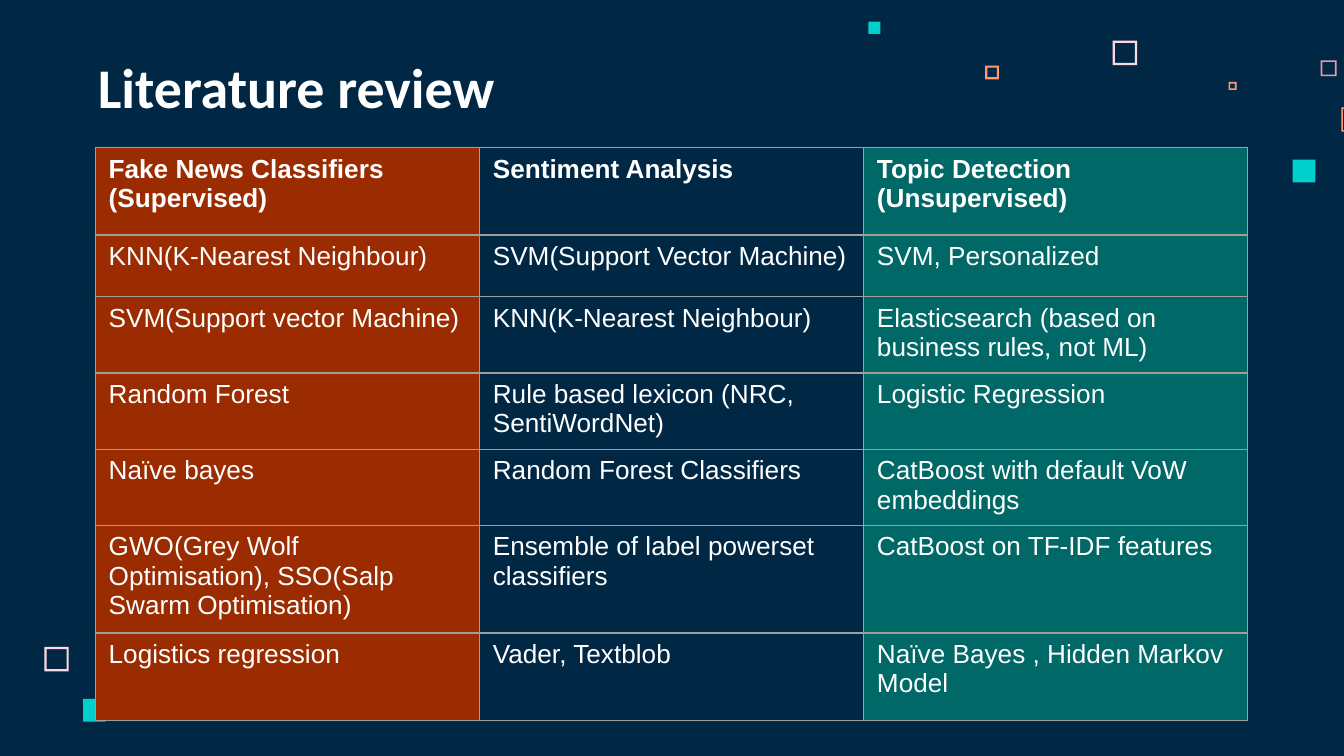
from pptx import Presentation
from pptx.dml.color import RGBColor as RGB
from pptx.enum.shapes import MSO_SHAPE as Preset
from pptx.enum.text import MSO_ANCHOR as Anchor
from pptx.oxml import parse_xml
from pptx.oxml.ns import nsdecls
from pptx.util import Cm, Pt

TITLE = "Literature review"
ROWS = [
    ("Fake News Classifiers (Supervised)", "Sentiment Analysis",
     "Topic Detection (Unsupervised)"),
    ("KNN(K-Nearest Neighbour)", "SVM(Support Vector Machine)",
     "SVM, Personalized"),
    ("SVM(Support vector Machine)", "KNN(K-Nearest Neighbour)",
     "Elasticsearch (based on business rules, not ML)"),
    ("Random Forest", "Rule based lexicon (NRC, SentiWordNet)",
     "Logistic Regression"),
    ("Naïve bayes", "Random Forest Classifiers",
     "CatBoost with default VoW embeddings"),
    ("GWO(Grey Wolf Optimisation), SSO(Salp Swarm Optimisation)",
     "Ensemble of label powerset classifiers", "CatBoost on TF-IDF features"),
    ("Logistics regression", "Vader, Textblob",
     "Naïve Bayes , Hidden Markov Model"),
]
ROW_HEIGHTS = [1.65, 1.17, 1.17, 1.17, 1.17, 1.65, 1.65]
COLUMN_WIDTH = 7.26

THEME = {
    "background": RGB.from_string("002845"),
    "columns": [RGB.from_string("9B2C02"), None, RGB.from_string("006866")],
    "pink": RGB.from_string("FFD6E1"),
    "rose": RGB.from_string("E898AC"),
    "orange": RGB.from_string("FF9973"),
    "teal": RGB.from_string("00CFCC"),
    "border": "9E9E9E",
    "border_width": Pt(0.75),
    "title": {"name": "Calibri", "size": Pt(30), "bold": True},
    "body": {"name": "Arial", "size": Pt(14), "bold": False},
    "text": RGB.from_string("FFFFFF"),
}

# left, top, side, rim thickness, colour
HOLLOW_SQUARES = [
    (21.03, 0.77, 0.46, 0.04, "pink"),
    (24.96, 1.14, 0.30, 0.03, "rose"),
    (23.22, 1.55, 0.15, 0.03, "orange"),
    (25.35, 2.03, 0.46, 0.03, "orange"),
    (18.62, 1.24, 0.26, 0.04, "orange"),
    (0.84, 12.23, 0.46, 0.04, "pink"),
]
# left, top, side
SOLID_SQUARES = [(24.43, 3.02, 0.43), (16.41, 0.41, 0.23), (1.57, 13.21, 0.43)]


def paint(shape, color):
    shape.shadow.inherit = False
    shape.fill.solid()
    shape.fill.fore_color.rgb = color
    shape.line.fill.background()


def add_hollow_square(slide, left, top, side, rim, color):
    """Draw the rim as two contours wound in opposite directions."""
    right, bottom = left + side, top + side
    outer = [(left, top), (left, bottom), (right, bottom), (right, top)]
    inner = [(left + rim, top + rim), (right - rim, top + rim),
             (right - rim, bottom - rim), (left + rim, bottom - rim)]
    outer, inner = ([(Cm(x), Cm(y)) for x, y in contour]
                    for contour in (outer, inner))
    builder = slide.shapes.build_freeform(*outer[0])
    builder.add_line_segments(outer[1:], close=True)
    builder.move_to(*inner[0])
    builder.add_line_segments(inner[1:], close=True)
    paint(builder.convert_to_shape(), color)


def write(text_frame, text, formats):
    paragraph = text_frame.paragraphs[0]
    run = paragraph.add_run()
    run.text = text
    for name, value in formats.items():
        setattr(run.font, name, value)
    run.font.color.rgb = THEME["text"]


def add_borders(cell):
    properties = cell._tc.get_or_add_tcPr()
    for index, side in enumerate("LRTB"):
        properties.insert(index, parse_xml(
            f'<a:ln{side} {nsdecls("a")} w="{THEME["border_width"]}">'
            f'<a:solidFill><a:srgbClr val="{THEME["border"]}"/></a:solidFill>'
            f'</a:ln{side}>'))


def add_review_table(slide):
    table = slide.shapes.add_table(
        len(ROWS), len(ROWS[0]), Cm(1.8), Cm(2.79),
        Cm(COLUMN_WIDTH * len(ROWS[0])), Cm(sum(ROW_HEIGHTS))).table
    table.first_row = table.horz_banding = False
    for column in table.columns:
        column.width = Cm(COLUMN_WIDTH)
    for row_index, (texts, height) in enumerate(zip(ROWS, ROW_HEIGHTS)):
        table.rows[row_index].height = Cm(height)
        formats = {**THEME["body"], "bold": row_index == 0}
        for column_index, (text, color) in enumerate(zip(texts, THEME["columns"])):
            cell = table.cell(row_index, column_index)
            write(cell.text_frame, text, formats)
            if color is None:
                cell.fill.background()
            else:
                cell.fill.solid()
                cell.fill.fore_color.rgb = color
            add_borders(cell)


def add_title(slide):
    box = slide.shapes.add_textbox(Cm(1.6), Cm(0.91), Cm(13.13), Cm(1.6))
    frame = box.text_frame
    frame.word_wrap = True
    frame.vertical_anchor = Anchor.BOTTOM
    for side in ("left", "top", "right", "bottom"):
        setattr(frame, f"margin_{side}", Cm(0.25))
    write(frame, TITLE, THEME["title"])


def main():
    presentation = Presentation()
    presentation.slide_width, presentation.slide_height = Cm(25.4), Cm(14.29)
    slide = presentation.slides.add_slide(presentation.slide_layouts[6])
    slide.background.fill.solid()
    slide.background.fill.fore_color.rgb = THEME["background"]
    for *geometry, color in HOLLOW_SQUARES:
        add_hollow_square(slide, *geometry, THEME[color])
    for left, top, side in SOLID_SQUARES:
        square = slide.shapes.add_shape(
            Preset.RECTANGLE, Cm(left), Cm(top), Cm(side), Cm(side))
        paint(square, THEME["teal"])
    add_title(slide)
    add_review_table(slide)
    presentation.save("out.pptx")


if __name__ == "__main__":
    main()
